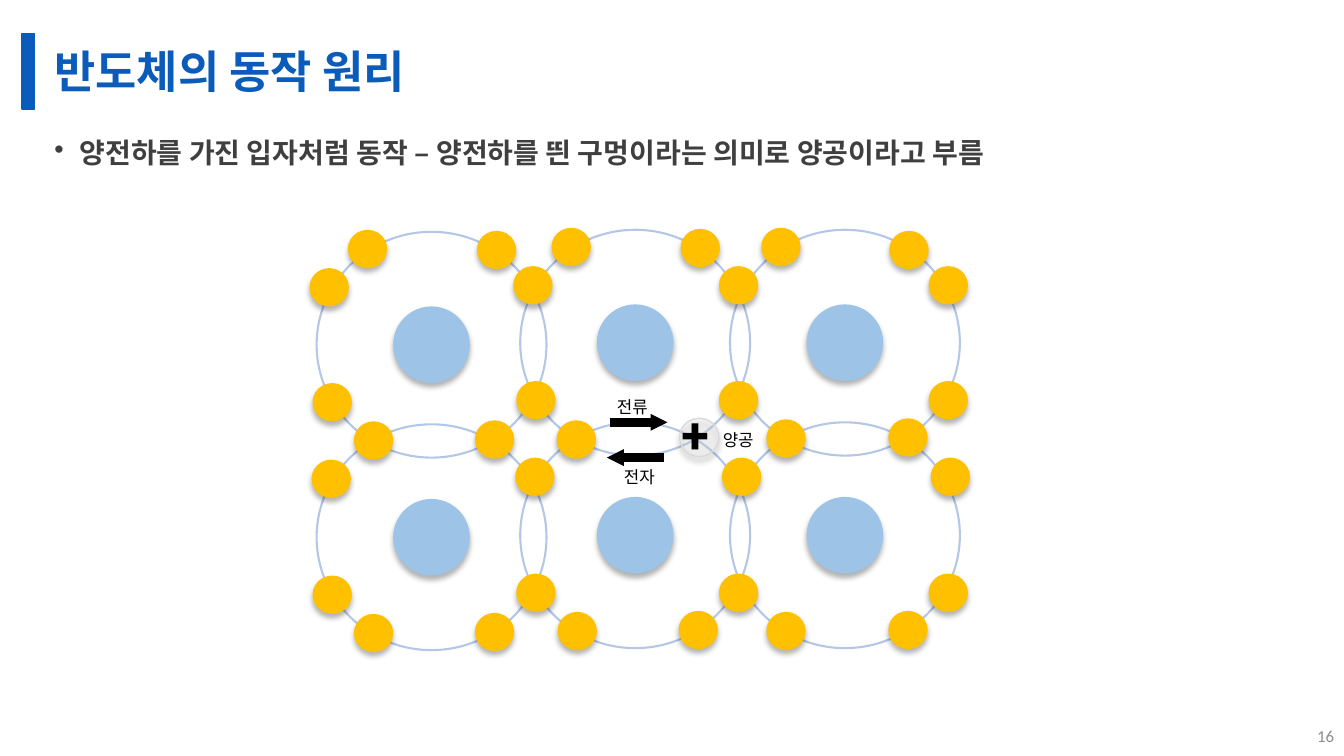
from itertools import product

from lxml.etree import SubElement
from pptx import Presentation
from pptx.dml.color import RGBColor
from pptx.enum.shapes import MSO_CONNECTOR, MSO_SHAPE
from pptx.enum.text import MSO_ANCHOR, MSO_AUTO_SIZE, PP_ALIGN
from pptx.oxml.ns import qn
from pptx.util import Inches, Pt

BLUE = RGBColor(0x0A, 0x5B, 0xBA)
DARK_GRAY = RGBColor(0x3F, 0x3F, 0x3F)
PAGE_GRAY = RGBColor(0x8C, 0x8C, 0x8C)
NUCLEUS_BLUE = RGBColor(0x9D, 0xC3, 0xE6)
SHELL_BLUE = RGBColor(0xB4, 0xC7, 0xE7)
ELECTRON_GOLD = RGBColor(0xFF, 0xC0, 0x00)
HOLE_FILL = RGBColor(0xF2, 0xF2, 0xF2)
HOLE_LINE = RGBColor(0xD9, 0xD9, 0xD9)
BLACK = RGBColor(0, 0, 0)
KOREAN_FONT = "Noto Sans CJK KR"

ATOM_COLUMNS = [(6.30, 0), (8.38, 0), (4.28, 0.02)]  # centre x, downward shift
ATOM_ROWS = [3.40, 5.31]
NUCLEUS_SIZE = (0.76, 0.76)
SHELL_SIZE = (2.28, 2.24)
ELECTRON_SIZE = (0.39, 0.38)
ELECTRON_LEFTS_BY_TOP = {
    2.26: [5.47, 7.55],
    2.27: [6.75],
    2.28: [3.45],
    2.29: [4.73, 8.82],
    2.64: [5.09, 7.13, 9.21],
    2.66: [3.07],
    3.78: [5.12, 7.13, 9.21],
    3.80: [3.10],
    4.15: [8.81],
    4.16: [7.60],
    4.17: [4.71, 5.52],
    4.18: [3.51],
    4.54: [5.11, 7.16, 9.23],
    4.56: [3.09],
    5.69: [5.12, 7.13, 9.21],
    5.71: [3.10],
    6.06: [6.73, 8.81],
    6.07: [5.53, 7.60],
    6.08: [4.71],
    6.09: [3.51],
}


def set_values(target, values):
    for name, value in values.items():
        setattr(target, name, value)


def write(frame, text, font, size, color, bold=False, frame_format=None, para_format=None):
    """Fill a text frame with one formatted paragraph and return it."""
    set_values(frame, frame_format or {})
    para = frame.paragraphs[0]
    set_values(para, para_format or {})
    span = para.add_run()
    span.text = text
    set_values(span.font, {"name": font, "size": Pt(size), "bold": bold})
    span.font.color.rgb = color
    SubElement(span.font._element, qn("a:ea"), typeface=KOREAN_FONT)
    return para


def add_text(shapes, at, *args, **kwargs):
    box = shapes.add_textbox(*map(Inches, at))
    return write(box.text_frame, *args, **kwargs)


def add_label(shapes, at, text, font=KOREAN_FONT, size=12, bold=False):
    fit = {"word_wrap": False, "auto_size": MSO_AUTO_SIZE.SHAPE_TO_FIT_TEXT}
    add_text(shapes, at, text, font, size, BLACK, bold, frame_format=fit)


def add_bullet(para):
    props = para._p.get_or_add_pPr()
    props.set("marL", str(Inches(0.25)))
    props.set("indent", str(Inches(-0.25)))
    SubElement(props, qn("a:buChar"), char="•")


def add_figure(shapes, kind, at, fill=None, line=None, width=1):
    figure = shapes.add_shape(kind, *map(Inches, at))
    figure.shadow.inherit = False
    if fill is None:
        figure.fill.background()
    else:
        figure.fill.solid()
        figure.fill.fore_color.rgb = fill
    if line is None:
        figure.line.fill.background()
    else:
        figure.line.width = Pt(width)
        figure.line.color.rgb = line
    return figure


def set_opacity(color_element, percent):
    SubElement(color_element, qn("a:alpha"), val=str(percent * 1000))


def add_ball(shapes, at, fill, line=None):
    """Add a filled circle with a soft shadow below it."""
    ball = add_figure(shapes, MSO_SHAPE.OVAL, at, fill, line)
    effects = ball._element.spPr.find(qn("a:effectLst"))
    shadow = SubElement(effects, qn("a:outerShdw"), blurRad=str(Pt(4)), dist=str(Pt(3)),
                        dir="5400000", algn="t", rotWithShape="0")
    set_opacity(SubElement(shadow, qn("a:srgbClr"), val=str(BLACK)), 30)
    return ball


def add_atom(shapes, center_x, center_y):
    def centered(size):
        return (center_x - size[0] / 2, center_y - size[1] / 2, *size)

    add_ball(shapes, centered(NUCLEUS_SIZE), NUCLEUS_BLUE)
    add_figure(shapes, MSO_SHAPE.OVAL, centered(SHELL_SIZE), line=SHELL_BLUE, width=1.5)


def add_hole(shapes, left, top):
    hole = add_ball(shapes, (left, top, *ELECTRON_SIZE), HOLE_FILL, HOLE_LINE)
    fill = hole._element.spPr.find(qn("a:solidFill"))
    set_opacity(fill.find(qn("a:srgbClr")), 28)


def add_flow(shapes, start_x, end_x, y, text, label_at):
    """Add a thick horizontal arrow grouped with its label."""
    flow = shapes.add_group_shape().shapes
    arrow = flow.add_connector(MSO_CONNECTOR.STRAIGHT,
                               *map(Inches, (start_x, y, end_x, y)))
    arrow.line.width = Pt(6)
    arrow.line.color.rgb = BLACK
    SubElement(arrow.line._get_or_add_ln(), qn("a:tailEnd"),
               type="triangle", w="sm", len="sm")
    SubElement(arrow._element.spPr, qn("a:effectLst"))
    add_label(flow, label_at, text)


def add_heading(page):
    add_figure(page.shapes, MSO_SHAPE.RECTANGLE, (0.22, 0.33, 0.12, 0.75), BLUE, BLUE)
    title = page.shapes.title
    set_values(title, {"left": Inches(0.44), "top": Inches(0.33),
                       "width": Inches(12.45), "height": Inches(0.75)})
    write(title.text_frame, "반도체의 동작 원리", "Cabin", 32, BLUE, True,
          {"vertical_anchor": MSO_ANCHOR.MIDDLE, "margin_bottom": 0, "word_wrap": True},
          {"alignment": PP_ALIGN.LEFT, "line_spacing": 0.9})


def add_lattice(shapes):
    for center_y, (center_x, shift) in product(ATOM_ROWS, ATOM_COLUMNS):
        add_atom(shapes, center_x, center_y + shift)
    for top, lefts in ELECTRON_LEFTS_BY_TOP.items():
        for left in lefts:
            add_ball(shapes, (left, top, *ELECTRON_SIZE), ELECTRON_GOLD)
    add_hole(shapes, 6.74, 4.15)


def main():
    deck = Presentation()
    set_values(deck, {"slide_width": Inches(13.33), "slide_height": Inches(7.5)})
    page = deck.slides.add_slide(deck.slide_layouts[5])
    shapes = page.shapes

    add_heading(page)
    statement = add_text(
        shapes, (0.44, 1.25, 12.45, 5.92),
        "양전하를 가진 입자처럼 동작 – 양전하를 띈 구멍이라는 의미로 양공이라고 부름",
        "Roboto", 20, DARK_GRAY, True, {"word_wrap": True},
        {"line_spacing": 1.14, "space_before": Pt(10), "space_after": Pt(3)})
    add_bullet(statement)
    add_text(shapes, (12.89, 7.1, 0.44, 0.4), "16", "Calibri", 12, PAGE_GRAY,
             frame_format={"vertical_anchor": MSO_ANCHOR.MIDDLE, "word_wrap": True},
             para_format={"alignment": PP_ALIGN.RIGHT})

    add_lattice(shapes)
    add_flow(shapes, 6.59, 6.02, 4.54, "전자", (6.09, 4.58, 0.52, 0.3))
    add_flow(shapes, 6.05, 6.62, 4.19, "전류", (6.02, 3.89, 0.52, 0.3))
    add_label(shapes, (6.66, 3.95, 0.56, 0.71), "+", "Roboto", 36, True)
    add_label(shapes, (7.07, 4.21, 0.52, 0.3), "양공")

    deck.save("out.pptx")


if __name__ == "__main__":
    main()
